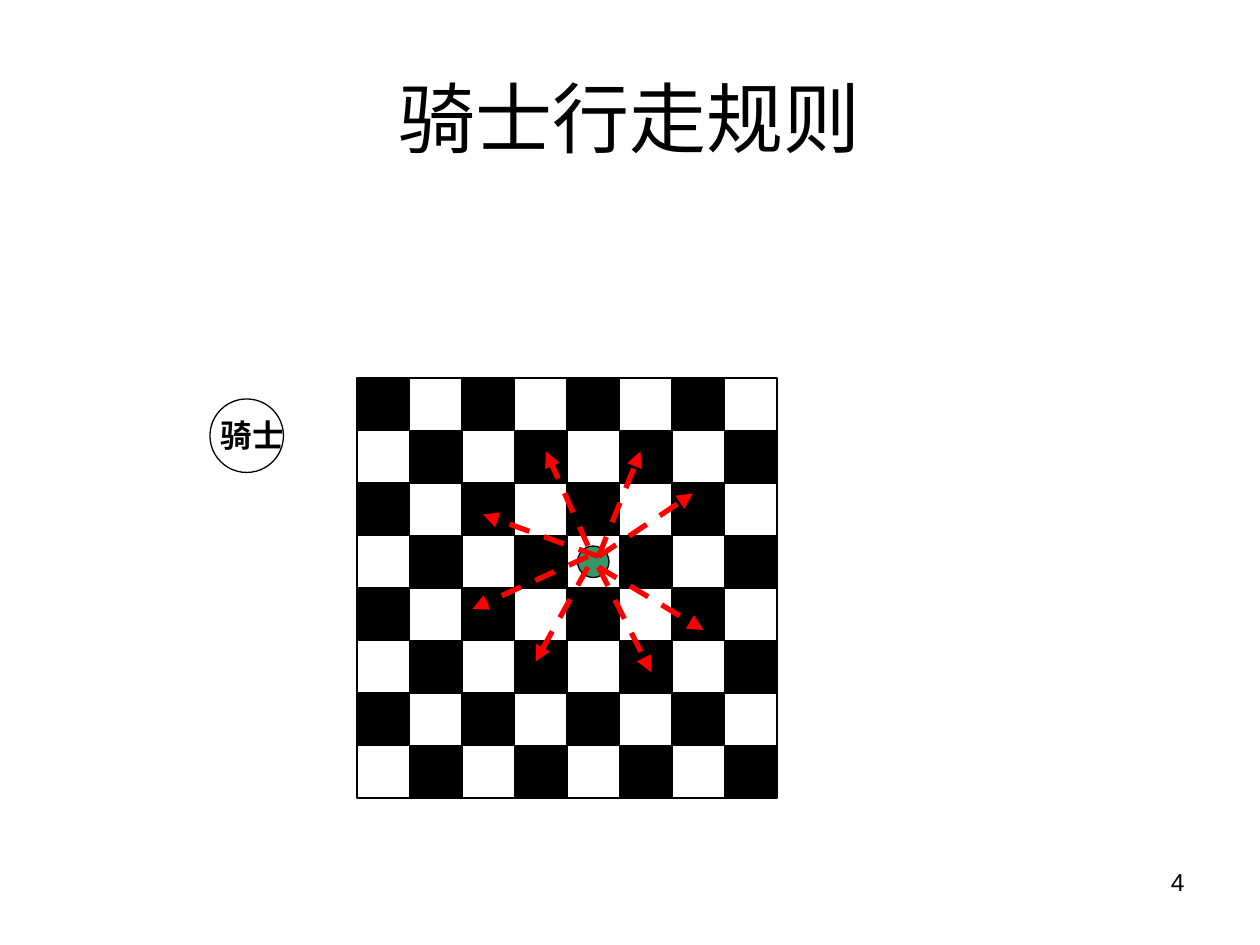
from dataclasses import dataclass

from lxml import etree
from pptx import Presentation
from pptx.dml.color import RGBColor
from pptx.enum.dml import MSO_LINE
from pptx.enum.shapes import MSO_CONNECTOR, MSO_SHAPE
from pptx.enum.text import MSO_ANCHOR, PP_ALIGN
from pptx.oxml.ns import qn
from pptx.util import Cm, Pt

RECTANGLE, OVAL = MSO_SHAPE.RECTANGLE, MSO_SHAPE.OVAL
STRAIGHT, DASH = MSO_CONNECTOR.STRAIGHT, MSO_LINE.DASH
CENTER, RIGHT = PP_ALIGN.CENTER, PP_ALIGN.RIGHT
TOP, MIDDLE = MSO_ANCHOR.TOP, MSO_ANCHOR.MIDDLE


@dataclass(frozen=True)
class Theme:
    black: RGBColor = RGBColor(0x00, 0x00, 0x00)
    white: RGBColor = RGBColor(0xFF, 0xFF, 0xFF)
    piece: RGBColor = RGBColor(0x33, 0x99, 0x66)
    move: RGBColor = RGBColor(0xFF, 0x00, 0x00)
    font: str = "Arial"
    title_size: int = 44
    label_size: int = 18
    number_size: int = 14
    outline: float = 0.75
    arrow: int = 3


THEME = Theme()

# The drawing sits on a grid of twelve steps to the inch
STEP = 2.54 / 12
BOARD_LEFT, BOARD_TOP = 34, 36
SQUARE, SQUARES = 5, 8

# Start and end of each knight move, in grid steps
MOVES = [
    ((57, 53), (61, 43)),
    ((56, 52), (52, 43)),
    ((57, 54), (62, 64)),
    ((57, 54), (67, 60)),
    ((56, 53), (45, 58)),
    ((57, 53), (46, 49)),
    ((57, 53), (66, 47)),
    ((56, 54), (51, 63)),
]


def grid(*steps):
    return [Cm(step * STEP) for step in steps]


def add_outlined(shapes, kind, left, top, size, fill=None):
    shape = shapes.add_shape(kind, *grid(left, top, size, size))
    shape.shadow.inherit = False
    if fill is None:
        shape.fill.background()
    else:
        shape.fill.solid()
        shape.fill.fore_color.rgb = fill
    shape.line.color.rgb = THEME.black
    shape.line.width = Pt(THEME.outline)


def add_text(shapes, text, place, size, align, anchor=TOP, bold=False):
    box = shapes.add_textbox(*place)
    frame = box.text_frame
    frame.word_wrap = True
    frame.vertical_anchor = anchor
    frame.text = text
    para = frame.paragraphs[0]
    para.alignment = align
    font = para.runs[0].font
    font.name = THEME.font
    font.size = Pt(size)
    font.bold = bold
    font.color.rgb = THEME.black


def add_move(shapes, start, end):
    arrow = shapes.add_connector(STRAIGHT, *grid(*start, *end))
    arrow.line.color.rgb = THEME.move
    arrow.line.width = Pt(THEME.arrow)
    arrow.line.dash_style = DASH
    etree.SubElement(arrow.line._get_or_add_ln(), qn("a:tailEnd"), type="triangle")
    etree.SubElement(arrow._element.spPr, qn("a:effectLst"))


def add_board(page):
    shapes = page.shapes.add_group_shape().shapes
    for row in range(SQUARES):
        for column in range(SQUARES):
            fill = THEME.white if (row + column) % 2 else THEME.black
            add_outlined(shapes, RECTANGLE, BOARD_LEFT + column * SQUARE,
                         BOARD_TOP + row * SQUARE, SQUARE, fill)


def add_knight_label(page):
    shapes = page.shapes.add_group_shape().shapes
    add_outlined(shapes, OVAL, 20, 38, 7)
    add_text(shapes, "骑士", grid(19, 39, 10, 4.8), THEME.label_size, CENTER, bold=True)


def main():
    deck = Presentation()
    deck.slide_width, deck.slide_height = Cm(25.4), Cm(19.05)
    page = deck.slides.add_slide(deck.slide_layouts[6])

    # Slide number
    add_text(page.shapes, "4", (Cm(18.2), Cm(17.36), Cm(5.93), Cm(1.32)),
             THEME.number_size, RIGHT)

    # Chessboard, knight label and the piece on its square
    add_board(page)
    add_knight_label(page)
    add_outlined(page.shapes, OVAL, 55, 52, 3, THEME.piece)

    # Possible moves
    moves = page.shapes.add_group_shape().shapes
    for start, end in MOVES:
        add_move(moves, start, end)

    # Title
    add_text(page.shapes, "骑士行走规则", (Cm(1.27), Cm(0.76), Cm(22.86), Cm(3.18)),
             THEME.title_size, CENTER, MIDDLE)

    deck.save("out.pptx")


if __name__ == "__main__":
    main()
